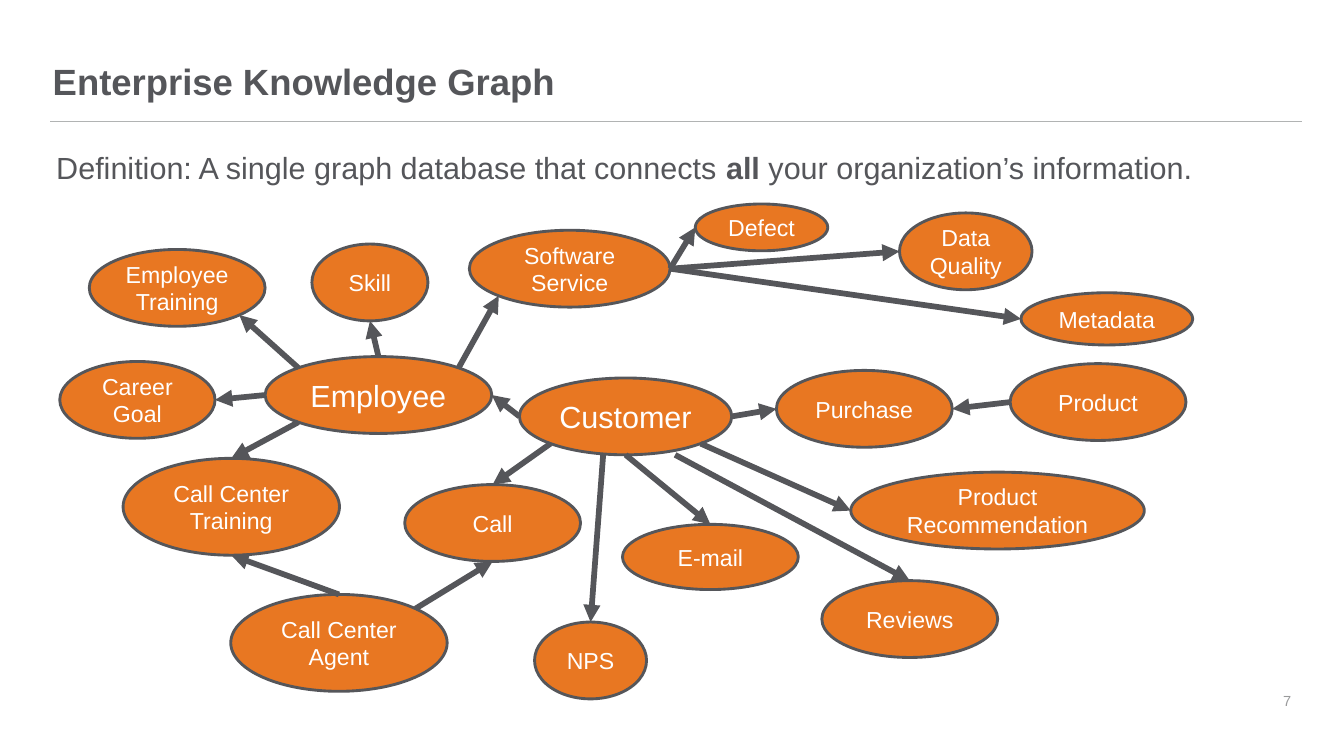
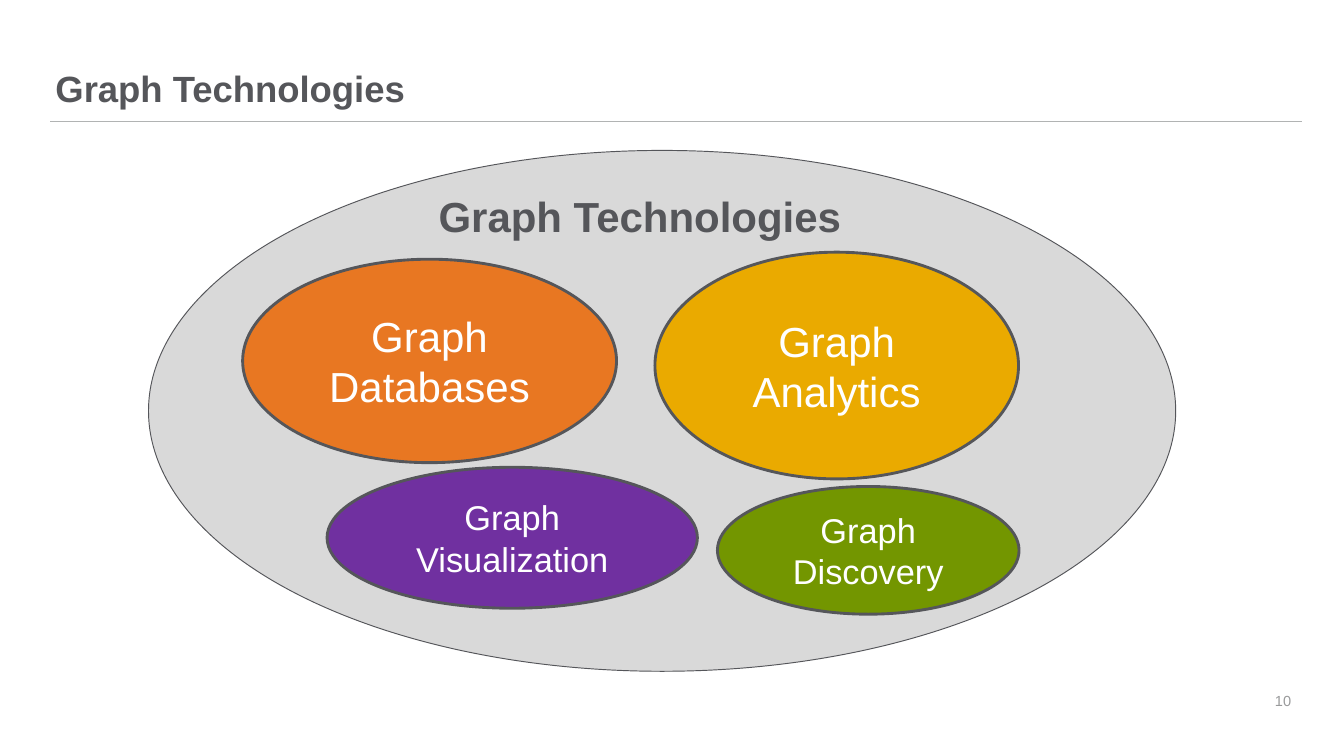
from dataclasses import dataclass
from math import cos, radians, sin

from lxml.etree import SubElement
from pptx import Presentation
from pptx.dml.color import RGBColor
from pptx.enum.shapes import MSO_CONNECTOR, MSO_SHAPE
from pptx.enum.text import MSO_ANCHOR, PP_ALIGN
from pptx.oxml.ns import qn
from pptx.util import Cm, Pt

ELLIPSE = MSO_SHAPE.OVAL
STRAIGHT = MSO_CONNECTOR.STRAIGHT
ANCHOR_TOP, ANCHOR_MIDDLE = MSO_ANCHOR.TOP, MSO_ANCHOR.MIDDLE
LEFT_ALIGN, CENTER_ALIGN, RIGHT_ALIGN = PP_ALIGN.LEFT, PP_ALIGN.CENTER, PP_ALIGN.RIGHT

TOP, TOP_LEFT, LEFT, BOTTOM_LEFT, BOTTOM, BOTTOM_RIGHT, RIGHT, TOP_RIGHT = range(8)


@dataclass(frozen=True)
class Theme:
    font: str = "Arial"
    ink: str = "55565A"
    rule: str = "B1B3B3"
    page: str = "999A9B"
    white: str = "FFFFFF"
    grey: str = "D9D9D9"
    orange: str = "E87722"
    yellow: str = "EAAA00"
    purple: str = "7030A0"
    green: str = "739600"
    title_size: float = 38.2
    body_size: float = 32
    node_size: float = 24.2
    page_size: float = 15.3
    large_size: float = 44
    medium_size: float = 36
    thin: float = 1
    outline: float = 3
    arrow: float = 6


class Deck:
    def __init__(self, theme):
        self.theme = theme
        self.presentation = Presentation()
        self.presentation.slide_width = Cm(49.68)
        self.presentation.slide_height = Cm(27.94)
        self.slide = None

    def add_slide(self, title, title_box, number):
        theme = self.theme
        self.slide = self.presentation.slides.add_slide(self.presentation.slide_layouts[6])
        self.line((Cm(1.85), Cm(4.5)), (Cm(48.11), Cm(4.5)), theme.rule, theme.thin)
        heading = self.text([title], title_box, theme.title_size, theme.ink, bold=True)
        heading.line_spacing = 0.9
        self.text([number], (45.01, 24.82, 2.97, 2.13), theme.page_size, theme.page,
                  align=RIGHT_ALIGN, anchor=ANCHOR_MIDDLE)

    def style(self, paragraph, size, color, align, bold=False):
        paragraph.alignment = align
        font = paragraph.font
        font.name = self.theme.font
        font.size = Pt(size)
        font.bold = bold
        font.color.rgb = RGBColor.from_string(color)

    def text(self, runs, box, size, color, bold=False, align=LEFT_ALIGN,
             anchor=ANCHOR_TOP, wrap=True):
        frame = self.slide.shapes.add_textbox(*map(Cm, box)).text_frame
        frame.word_wrap = wrap
        frame.vertical_anchor = anchor
        frame.margin_top = frame.margin_bottom = Cm(0.25 if wrap else 0.13)
        paragraph = frame.paragraphs[0]
        for words in runs:
            paragraph.add_run().text = words
        self.style(paragraph, size, color, align, bold)
        return paragraph

    def ellipse(self, words, box, fill, size=None, outline=None):
        theme = self.theme
        shape = self.slide.shapes.add_shape(ELLIPSE, *map(Cm, box))
        shape.shadow.inherit = False
        shape.fill.solid()
        shape.fill.fore_color.rgb = RGBColor.from_string(fill)
        shape.line.color.rgb = RGBColor.from_string(theme.ink)
        shape.line.width = Pt(outline or theme.outline)
        if words:
            frame = shape.text_frame
            frame.text = words
            frame.word_wrap = True
            frame.vertical_anchor = ANCHOR_MIDDLE
            for paragraph in frame.paragraphs:
                self.style(paragraph, size, theme.white, CENTER_ALIGN)
        return shape

    def line(self, start, end, color, width):
        connector = self.slide.shapes.add_connector(STRAIGHT, *start, *end)
        connector.line.color.rgb = RGBColor.from_string(color)
        connector.line.width = Pt(width)
        SubElement(connector._element.spPr, qn("a:effectLst"))
        return connector

    def site_point(self, shape, site):
        angle = radians(90 + 45 * site)
        return (round(shape.left + shape.width / 2 * (1 + cos(angle))),
                round(shape.top + shape.height / 2 * (1 - sin(angle))))

    def arrow(self, source, source_site, target, target_site, shift=0):
        x, y = self.site_point(source, source_site)
        connector = self.line((x + Cm(shift), y), self.site_point(target, target_site),
                              self.theme.ink, self.theme.arrow)
        SubElement(connector._element.spPr.ln, qn("a:tailEnd"), type="triangle")
        joints = connector._element.nvCxnSpPr.cNvCxnSpPr
        if not shift:
            SubElement(joints, qn("a:stCxn"), id=str(source.shape_id), idx=str(source_site))
        SubElement(joints, qn("a:endCxn"), id=str(target.shape_id), idx=str(target_site))


NODES = {
    "Customer": (19.2, 13.97, 7.85, 2.84),
    "Purchase": (28.7, 13.69, 6.5, 2.84),
    "Call": (14.96, 17.91, 6.5, 2.84),
    "Product\nRecommendation": (31.45, 17.45, 10.85, 2.84),
    "Product": (37.34, 13.44, 6.5, 2.84),
    "E-mail": (23.01, 19.38, 6.5, 2.41),
    "Reviews": (30.38, 21.46, 6.5, 2.84),
    "NPS": (19.76, 22.99, 4.14, 2.84),
    "Call Center\nAgent": (8.53, 21.97, 8, 3.58),
    "Call Center\nTraining": (4.55, 16.94, 8, 3.58),
    "Employee": (9.8, 13.18, 8.38, 2.84),
    "Career Goal": (2.21, 13.36, 5.74, 2.84),
    "Employee\nTraining": (3.3, 9.22, 6.5, 2.84),
    "Skill": (11.53, 9.02, 4.29, 2.84),
    "Defect": (25.7, 7.54, 4.9, 1.73),
    "Data Quality": (33.25, 7.87, 4.9, 2.84),
    "Metadata": (37.74, 10.82, 6.35, 1.93),
    "Software\nService": (17.35, 8.51, 7.42, 2.84),
}
HUBS = ("Customer", "Employee")

RELATIONS = [
    ("Customer", RIGHT, "Purchase", LEFT),
    ("Product", LEFT, "Purchase", RIGHT),
    ("Customer", BOTTOM_RIGHT, "Product\nRecommendation", LEFT),
    ("Customer", BOTTOM, "E-mail", TOP),
    ("Customer", BOTTOM, "Reviews", TOP, 1.83),
    ("Customer", BOTTOM, "NPS", TOP, -0.83),
    ("Customer", BOTTOM_LEFT, "Call", TOP),
    ("Call Center\nAgent", TOP_RIGHT, "Call", BOTTOM),
    ("Call Center\nAgent", TOP, "Call Center\nTraining", BOTTOM),
    ("Employee", BOTTOM_LEFT, "Call Center\nTraining", TOP),
    ("Customer", LEFT, "Employee", RIGHT),
    ("Employee", LEFT, "Career Goal", RIGHT),
    ("Employee", TOP_LEFT, "Employee\nTraining", BOTTOM_RIGHT),
    ("Employee", TOP, "Skill", BOTTOM),
    ("Software\nService", RIGHT, "Defect", LEFT),
    ("Software\nService", RIGHT, "Data Quality", LEFT),
    ("Software\nService", RIGHT, "Metadata", LEFT),
    ("Employee", TOP_RIGHT, "Software\nService", BOTTOM_LEFT),
]


def build_knowledge_graph(deck):
    theme = deck.theme
    deck.add_slide("Enterprise Knowledge Graph", (1.7, 2.13, 46.28, 2.26), "7")
    definition = deck.text(
        ["Definition: A single graph database that connects ", "all",
         " your organization’s information."],
        (1.83, 5.36, 46.28, 3.2), theme.body_size, theme.ink)
    definition.line_spacing = 0.95
    definition.space_after = Pt(7.7)
    definition.runs[1].font.bold = True
    nodes = {
        name: deck.ellipse(name, box, theme.orange,
                           theme.body_size if name in HUBS else theme.node_size)
        for name, box in NODES.items()
    }
    for source, source_site, target, target_site, *shift in RELATIONS:
        deck.arrow(nodes[source], source_site, nodes[target], target_site, *shift)


def build_technologies(deck):
    theme = deck.theme
    deck.add_slide("Graph Technologies", (1.8, 2.36, 40.23, 3.1), "10")
    deck.ellipse("", (5.49, 5.56, 37.97, 19.25), theme.grey, outline=theme.thin)
    deck.text(["Graph Technologies"], (15.88, 6.93, 15.57, 2.13), theme.large_size,
              theme.ink, bold=True, align=CENTER_ALIGN, wrap=False)
    technologies = [
        ("Graph Databases", (8.97, 9.58, 13.82, 7.52), theme.orange, theme.large_size),
        ("Graph Analytics", (24.21, 9.32, 13.44, 8.38), theme.yellow, theme.large_size),
        ("Graph Visualization", (12.09, 17.27, 13.69, 5.21), theme.purple, theme.medium_size),
        ("Graph Discovery", (26.52, 17.98, 11.15, 4.72), theme.green, theme.medium_size),
    ]
    for technology in technologies:
        deck.ellipse(*technology)


def main():
    deck = Deck(Theme())
    build_knowledge_graph(deck)
    build_technologies(deck)
    deck.presentation.save("out.pptx")


if __name__ == "__main__":
    main()
